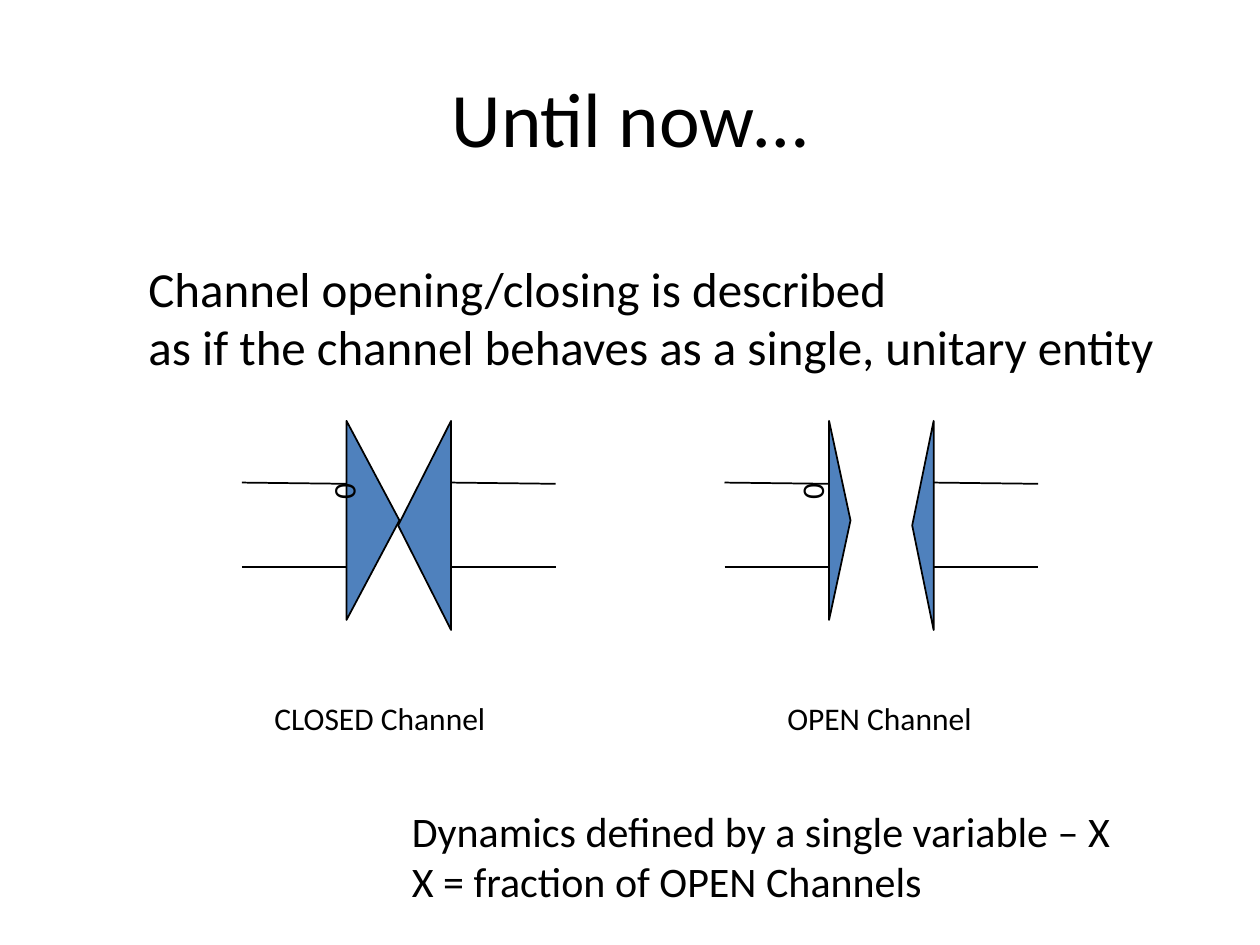
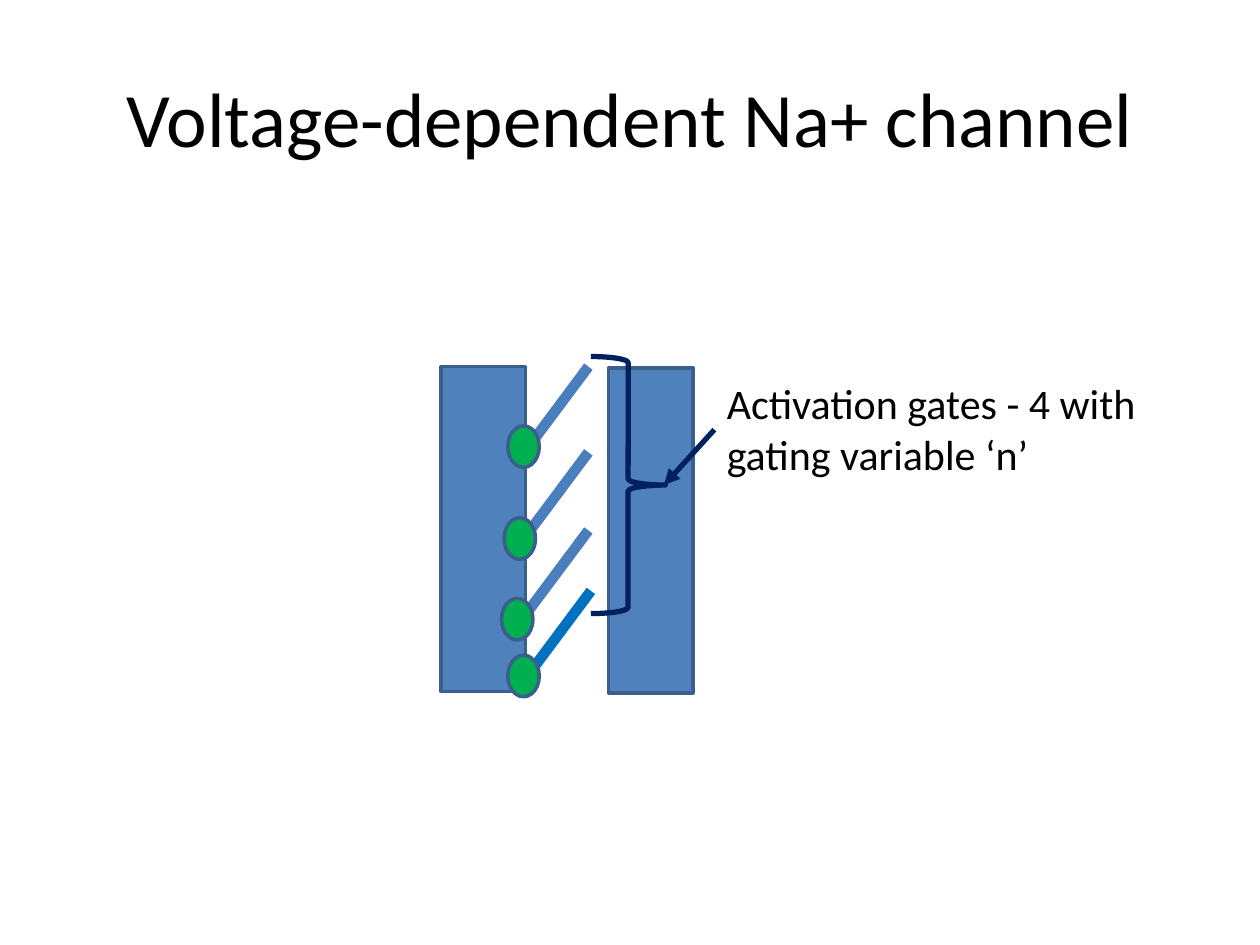
"""Build two slides on ion channel gating: a unitary channel and a gated Na+ channel."""
from lxml.etree import SubElement
from pptx import Presentation
from pptx.dml.color import RGBColor
from pptx.enum.shapes import MSO_CONNECTOR, MSO_SHAPE
from pptx.enum.text import MSO_ANCHOR, MSO_AUTO_SIZE, PP_ALIGN
from pptx.oxml.ns import qn
from pptx.util import Inches, Pt

BLACK, BLUE, EDGE, GATE = "000000", "4F81BD", "3A5F8C", "4B7EBC"
LAST_GATE, GREEN, NAVY = "0070C0", "00B050", "002060"
GROWING = {"auto_size": MSO_AUTO_SIZE.SHAPE_TO_FIT_TEXT, "word_wrap": False}
TITLE = {"vertical_anchor": MSO_ANCHOR.MIDDLE, "word_wrap": True}
TOP = {"vertical_anchor": MSO_ANCHOR.TOP, "word_wrap": False}


def paint(part, line, width, fill=None):
    """Set outline and fill, and leave the part without a shadow."""
    part.line.color.rgb = RGBColor.from_string(line)
    part.line.width = Pt(width)
    if fill:
        part.fill.solid()
        part.fill.fore_color.rgb = RGBColor.from_string(fill)
    SubElement(part._element.spPr, qn("a:effectLst"))
    return part


def write(part, lines, size, frame_format, align=PP_ALIGN.LEFT):
    """Fill the text frame with one paragraph per line."""
    frame = part.text_frame
    frame.text = "\n".join(lines)
    for name, value in frame_format.items():
        setattr(frame, name, value)
    for paragraph in frame.paragraphs:
        paragraph.alignment = align
        font = paragraph.runs[0].font
        font.color.rgb = RGBColor.from_string(BLACK)
        for name, value in {"name": "Calibri", "size": Pt(size)}.items():
            setattr(font, name, value)


deck = Presentation()
deck.slide_width, deck.slide_height = Inches(10), Inches(7.5)

slides = []
for heading in ("Until now…", "Voltage-dependent Na+ channel"):
    slide = deck.slides.add_slide(deck.slide_layouts[6])
    title = slide.shapes.add_textbox(Inches(0.5), Inches(0.3), Inches(9), Inches(1.25))
    write(title, [heading], 44, TITLE, PP_ALIGN.CENTER)
    slides.append(slide)
unitary, gated = (slide.shapes for slide in slides)

for channel_left, gate_depth in ((1.92, 0.42), (5.75, 0.17)):
    for membrane_left in (channel_left, channel_left + 1.66):
        for y, drop in ((3.83, 0.01), (4.5, 0)):
            membrane = unitary.add_connector(
                MSO_CONNECTOR.STRAIGHT, Inches(membrane_left), Inches(y),
                Inches(membrane_left + 0.83), Inches(y + drop))
            paint(membrane, BLACK, 1)

    left_base, right_base = channel_left + 0.83, channel_left + 1.66
    for center_x, span, turn in ((left_base + gate_depth / 2, 1.58, 90),
                                 (right_base - gate_depth / 2, 1.66, 270)):
        gate = unitary.add_shape(
            MSO_SHAPE.ISOSCELES_TRIANGLE, Inches(center_x - span / 2),
            Inches(3.34 + span / 2 - gate_depth / 2), Inches(span), Inches(gate_depth))
        gate.rotation = turn
        paint(gate, BLACK, 1, BLUE)
        if turn == 90:
            write(gate, ["0"], 18, TOP)

for left, top, width, height, size, lines in (
    (1.08, 2, 8.45, 1.04, 28, ["Channel opening/closing is described",
                               "as if the channel behaves as a single, unitary entity"]),
    (2.08, 5.5, 1.9, 0.4, 18, ["CLOSED Channel"]),
    (6.15, 5.5, 1.68, 0.4, 18, ["OPEN Channel"]),
    (3.17, 6.34, 5.8, 0.91, 24, ["Dynamics defined by a single variable – X",
                                 "X = fraction of OPEN Channels"]),
):
    note = unitary.add_textbox(Inches(left), Inches(top), Inches(width), Inches(height))
    write(note, lines, size, GROWING)

for left, top in ((3.5, 2.91), (4.83, 2.92)):
    wall = gated.add_shape(MSO_SHAPE.RECTANGLE, Inches(left), Inches(top),
                           Inches(0.67), Inches(2.58))
    paint(wall, EDGE, 2, BLUE)

for gate_left, gate_bottom, hinge_left, hinge_top, color in (
    (4.17, 3.58, 4.03, 3.38, GATE),
    (4.17, 4.26, 4, 4.11, GATE),
    (4.17, 4.88, 3.98, 4.75, GATE),
    (4.19, 5.36, 4.03, 5.2, LAST_GATE),
):
    arm = gated.add_connector(MSO_CONNECTOR.STRAIGHT, Inches(gate_left), Inches(gate_bottom),
                              Inches(gate_left + 0.5), Inches(gate_bottom - 0.67))
    paint(arm, color, 6)
    hinge = gated.add_shape(MSO_SHAPE.OVAL, Inches(hinge_left), Inches(hinge_top),
                            Inches(0.25), Inches(0.33))
    paint(hinge, EDGE, 2, GREEN)

gates_label = gated.add_textbox(Inches(5.67), Inches(2.95), Inches(5), Inches(0.91))
write(gates_label, ["Activation gates - 4 with", "gating variable ‘n’"], 24,
      {**GROWING, "word_wrap": True})

brace = gated.add_shape(MSO_SHAPE.RIGHT_BRACE, Inches(4.69), Inches(2.83),
                        Inches(0.59), Inches(2.04))
brace.fill.background()
paint(brace, NAVY, 3)

pointer = gated.add_connector(MSO_CONNECTOR.STRAIGHT, Inches(5.67), Inches(3.41),
                              Inches(5.27), Inches(3.85))
paint(pointer, NAVY, 3)
SubElement(pointer.line._get_or_add_ln(), qn("a:tailEnd"), type="triangle")

deck.save("out.pptx")
